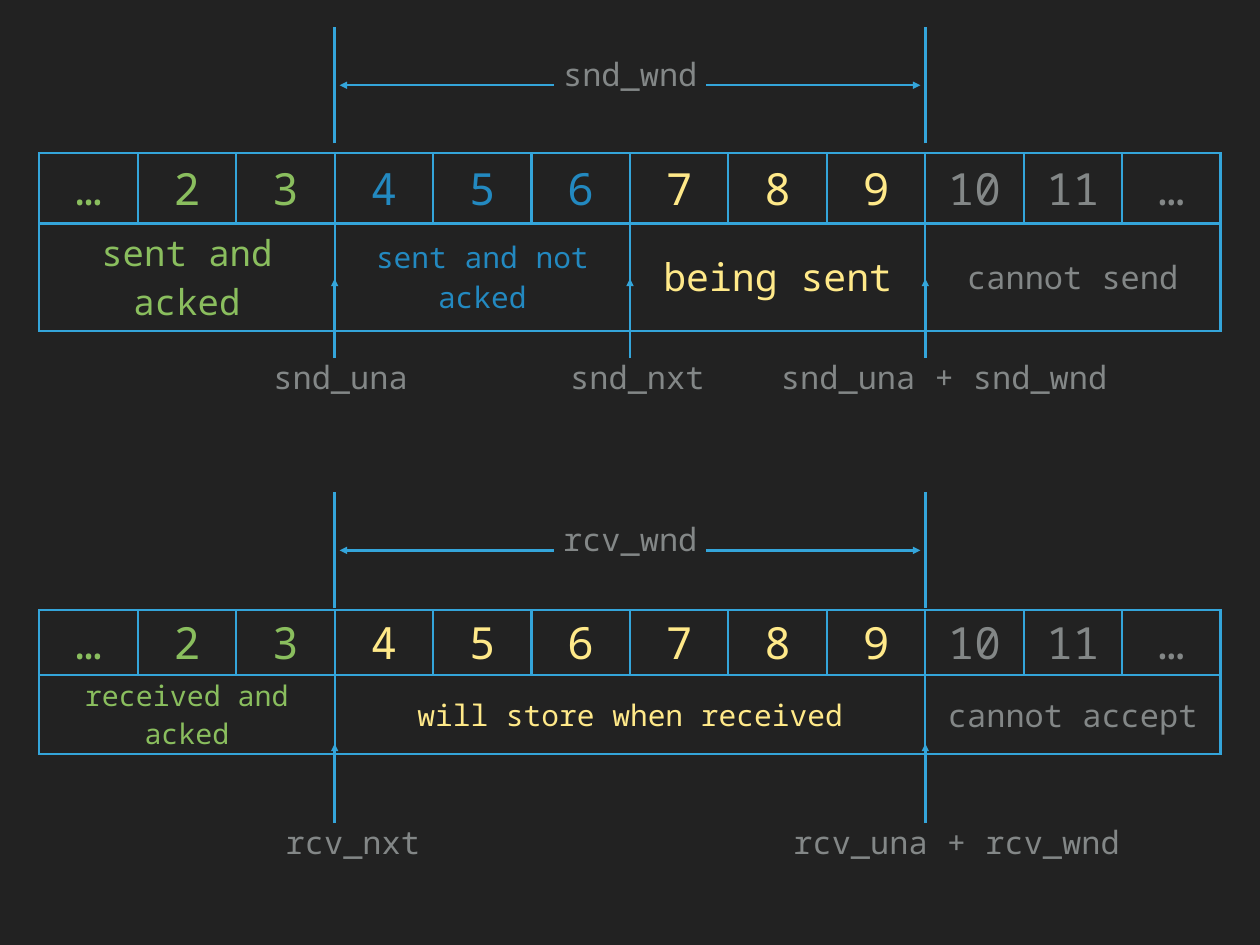
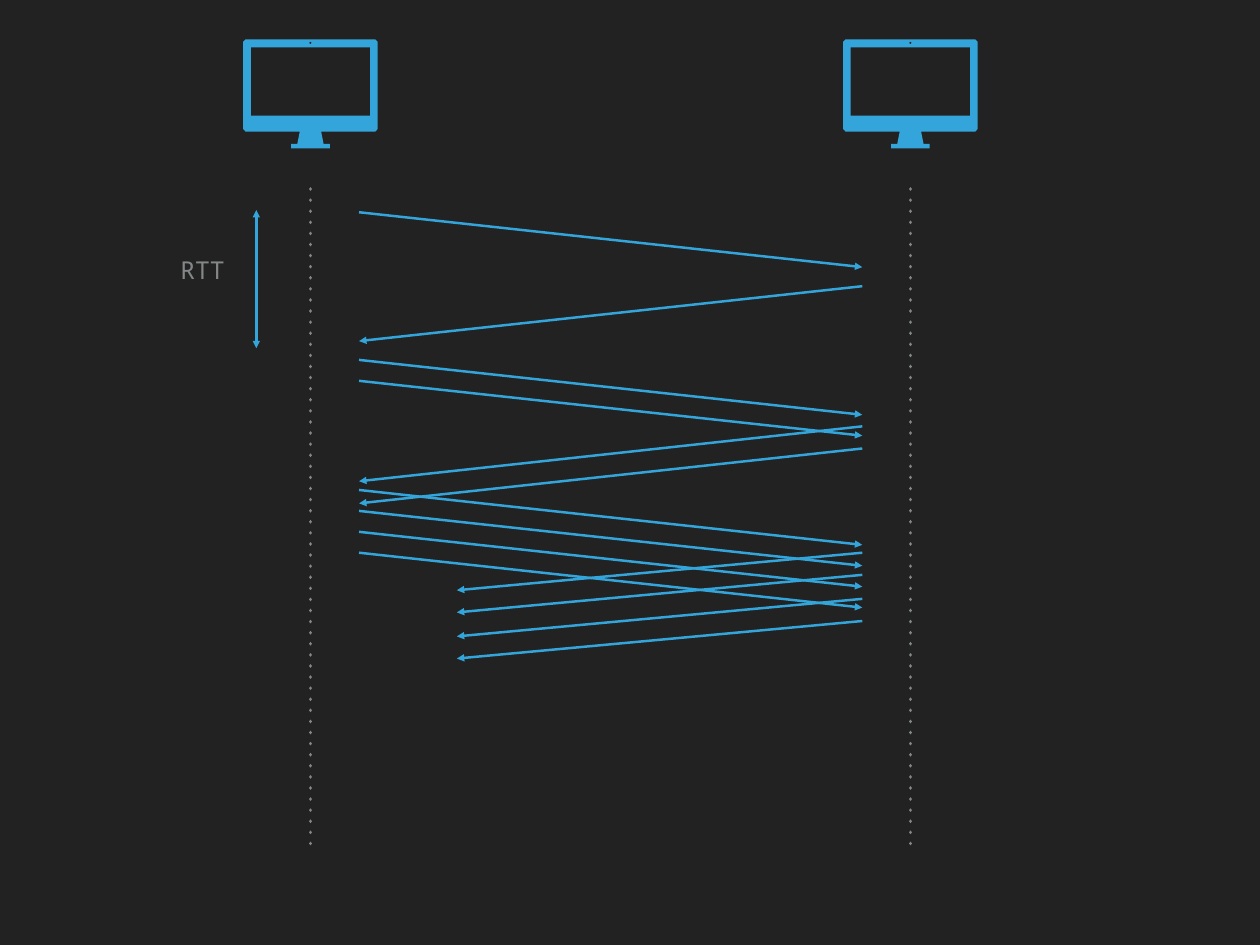
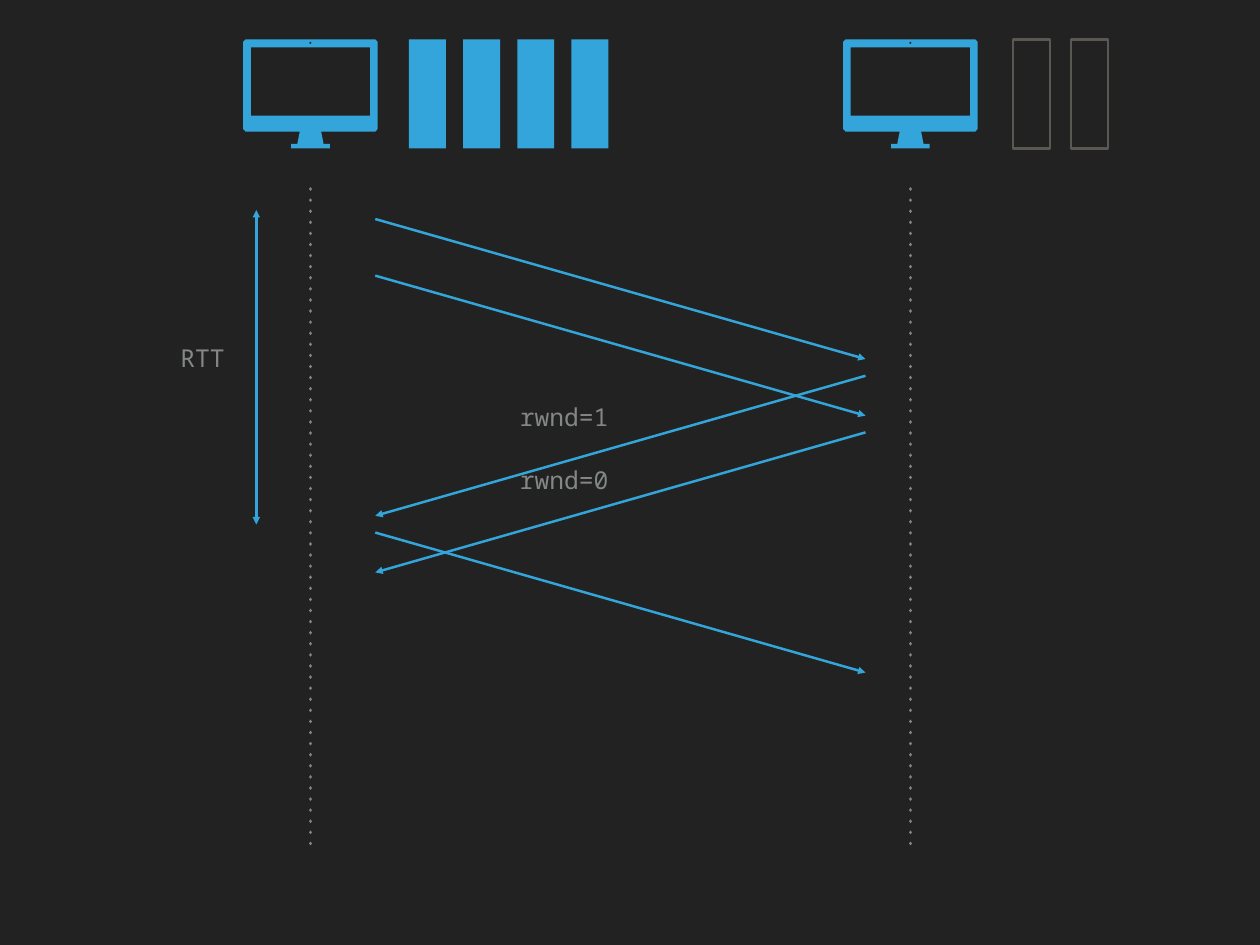
from lxml.etree import SubElement as Sub
from pptx import Presentation
from pptx.dml.color import RGBColor as RGB
from pptx.enum.shapes import MSO_CONNECTOR as Link, MSO_SHAPE as Shape
from pptx.enum.text import MSO_ANCHOR as Anchor, MSO_AUTO_SIZE as Auto, PP_ALIGN as Align
from pptx.oxml.ns import qn
from pptx.util import Pt

HUES = {
    "back": "222222", "line": "34A5DA", "grey": "838787", "dim": "5B5854",
    "green": "8ABE5E", "blue": "2389C0", "gold": "FFE989",
}
FONT = "Noto Sans Mono"
COL = 80
CELLS = ["…", *map(str, range(2, 12)), "…"]
ICON = (109.4, 88.6)


def hue(name):
    return RGB.from_string(HUES[name])


def write(frame, text, size=26, color="grey", align=Align.LEFT, lead=None):
    par = frame.paragraphs[0]
    par.alignment = align
    par.space_before = Pt(24)
    if lead:
        par.line_spacing = lead
    run = par.add_run()
    run.text = text
    run.font.name = FONT
    run.font.size = Pt(size)
    run.font.color.rgb = hue(color)


def label(page, x, y, w, h, text, size=26):
    frame = page.shapes.add_textbox(Pt(x), Pt(y), Pt(w), Pt(h)).text_frame
    frame.word_wrap = False
    frame.auto_size = Auto.SHAPE_TO_FIT_TEXT
    frame.vertical_anchor = Anchor.MIDDLE
    frame.margin_left = frame.margin_right = Pt(4)
    frame.margin_top = frame.margin_bottom = Pt(4)
    write(frame, text, size, lead=0.1)


def line(page, x1, y1, x2, y2, color="line", width=2, ends=(), dots=False):
    link = page.shapes.add_connector(Link.STRAIGHT, Pt(x1), Pt(y1), Pt(x2), Pt(y2))
    link.line.color.rgb = hue(color)
    link.line.width = Pt(width)
    props = link._element.spPr
    ln = props.find(qn("a:ln"))
    if dots:
        ln.set("cap", "rnd")
        dash = Sub(ln, qn("a:custDash"))
        Sub(dash, qn("a:ds"), d="100000", sp="200000")
    for end in ends:
        Sub(ln, qn(f"a:{end}End"), type="triangle")
    Sub(props, qn("a:effectLst"))


def arrow(page, x1, y1, x2, y2):
    line(page, x1, y1, x2, y2, ends=("tail",))


def edge(cell):
    props = cell._tc.get_or_add_tcPr()
    for side in "LRTB":
        ln = Sub(props, qn(f"a:ln{side}"), w=str(Pt(2)))
        fill = Sub(ln, qn("a:solidFill"))
        Sub(fill, qn("a:srgbClr"), val=HUES["line"])


def grid(page, x, y, rows, spans, pad):
    count = len(CELLS)
    table = page.shapes.add_table(
        2, count, Pt(x), Pt(y), Pt(COL * count), Pt(sum(rows))).table
    table.first_row = table.horz_banding = False
    for col in table.columns:
        col.width = Pt(COL)
    for row, high in zip(table.rows, rows):
        row.height = Pt(high)
    for cell in table.iter_cells():
        edge(cell)
        cell.fill.background()
        cell.vertical_anchor = Anchor.MIDDLE
        cell.margin_left = cell.margin_right = Pt(4)
        cell.margin_top = cell.margin_bottom = Pt(pad)
    start = 0
    for text, size, color, span in spans:
        stop = start + span
        for at in range(start, stop):
            write(table.cell(0, at).text_frame, CELLS[at], 36, color, Align.CENTER)
        head = table.cell(1, start)
        head.merge(table.cell(1, stop - 1))
        write(head.text_frame, text, size, color, Align.CENTER)
        start = stop


def window(page, x, y, name, drop, rows, pad, spans, marks):
    grid(page, x, y + drop, rows, spans, pad)
    left, right = x + 3 * COL, x + 9 * COL
    mid = (left + right) / 2
    for side in (left, right):
        line(page, side, y + 94.5, side, y)
    arrow(page, mid - 62, y + 47.3, left + 4, y + 47.3)
    arrow(page, mid + 62, y + 47.3, right - 4, y + 47.3)
    label(page, mid - 58.4, y + 27.5, 118, 39, name)
    for col, text, shift, wide in marks:
        at = x + col * COL
        arrow(page, at, y + 269, at, y + 204.5)
        label(page, at + shift, y + 273.8, wide, 39, text)


def screen(page, x, y):
    wide, high = ICON
    half = [(2, 0), (0, 2), (0, 72.8), (2, 75), (46, 75), (44, 85), (39, 85), (39, high)]
    rim = half + [(wide - a, b) for a, b in reversed(half)]
    mid = wide / 2
    lens = [(mid, 1.8), (mid + 1.1, 2.9), (mid, 4), (mid - 1.1, 2.9)]
    pane = [(6.2, 6.5), (wide - 6.2, 6.5), (wide - 6.2, 62), (6.2, 62)]
    form = None
    for ring in (rim, lens, pane):
        pts = [(a * 100, b * 100) for a, b in ring]
        if form is None:
            form = page.shapes.build_freeform(*pts[0], scale=Pt(1) / 100)
        else:
            form.move_to(*pts[0])
        form.add_line_segments(pts[1:], close=True)
    paint(form.convert_to_shape(Pt(x), Pt(y)), "line")


def paint(shape, fill=None, rim=None):
    shape.shadow.inherit = False
    if fill:
        shape.fill.solid()
        shape.fill.fore_color.rgb = hue(fill)
    else:
        shape.fill.background()
    if rim:
        shape.line.color.rgb = hue(rim)
        shape.line.width = Pt(2)
    else:
        shape.line.fill.background()


def host(page, x, y):
    screen(page, x, y)
    mid = x + ICON[0] / 2
    line(page, mid, y + 653.5, mid, y + 116.5, "grey", 3, dots=True)


def bars(page, x, y, count, step, **look):
    for at in range(count):
        bar = page.shapes.add_shape(
            Shape.RECTANGLE, Pt(x + at * step), Pt(y), Pt(30), Pt(ICON[1]))
        paint(bar, **look)


def fan(page, x, y, w, h, count=1, step=17):
    for at in range(count):
        top = y + at * step
        arrow(page, x, top, x + w, top + h)


def trip(page, x, y, h):
    line(page, x, y + h, x, y, ends=("head", "tail"))
    label(page, x - 65.7, y + h / 2 - 16, 45.4, 31.7, "RTT", 20)


def flow(page, rtt):
    for x in (197.6, 685.2):
        host(page, x, 32)
    trip(page, 208.3, 170.6, rtt)


def windows(page):
    window(page, 32, 22, "snd_wnd", 102.5, (52.8, 52.8), 4, [
        ("sent and acked", 29, "green", 3),
        ("sent and not acked", 24, "blue", 3),
        ("being sent", 31, "gold", 3),
        ("cannot send", 26, "grey", 3),
    ], [
        (3, "snd_una", -53.8, 118),
        (6, "snd_nxt", -52.6, 118),
        (9, "snd_una + snd_wnd", -121.3, 274.3),
    ])
    window(page, 32, 400, "rcv_wnd", 96, (52.8, 64), 0, [
        ("received and acked", 23, "green", 3),
        ("will store when received", 24, "gold", 6),
        ("cannot accept", 26, "grey", 3),
    ], [
        (3, "rcv_nxt", -43.8, 118),
        (9, "rcv_una + rcv_wnd", -111.2, 274.3),
    ])


def growth(page):
    flow(page, 112.4)
    left, right = 291.8, 700.8
    wide = right - left
    for y, count in ((172.5, 1), (292.5, 2), (398.2, 4)):
        fan(page, left, y, wide, 44.6, count)
    for y, count in ((232.6, 1), (346.5, 2)):
        fan(page, right, y, -wide, 44.6, count, 18)
    for y in (449.2, 486.7):
        fan(page, right, y, -329.5, 30.5, 2, 18)


def limit(page):
    flow(page, 255.6)
    bars(page, 332.4, 32, 4, 44, fill="line")
    bars(page, 823.4, 32, 2, 47, rim="dim")
    left, right = 305, 703.4
    wide = right - left
    fan(page, left, 178, wide, 113.8, 2, 46)
    fan(page, right, 305.4, -wide, 113.8, 2, 46)
    fan(page, left, 432.8, wide, 113.8)
    for at, y in ((1, 329.8), (0, 380.9)):
        label(page, 418.5, y, 81.4, 31.7, f"rwnd={at}", 20)


def main():
    deck = Presentation()
    deck.slide_width, deck.slide_height = Pt(1024), Pt(768)
    for build in (windows, growth, limit):
        page = deck.slides.add_slide(deck.slide_layouts[6])
        page.background.fill.solid()
        page.background.fill.fore_color.rgb = hue("back")
        build(page)
    deck.save("out.pptx")


if __name__ == "__main__":
    main()
